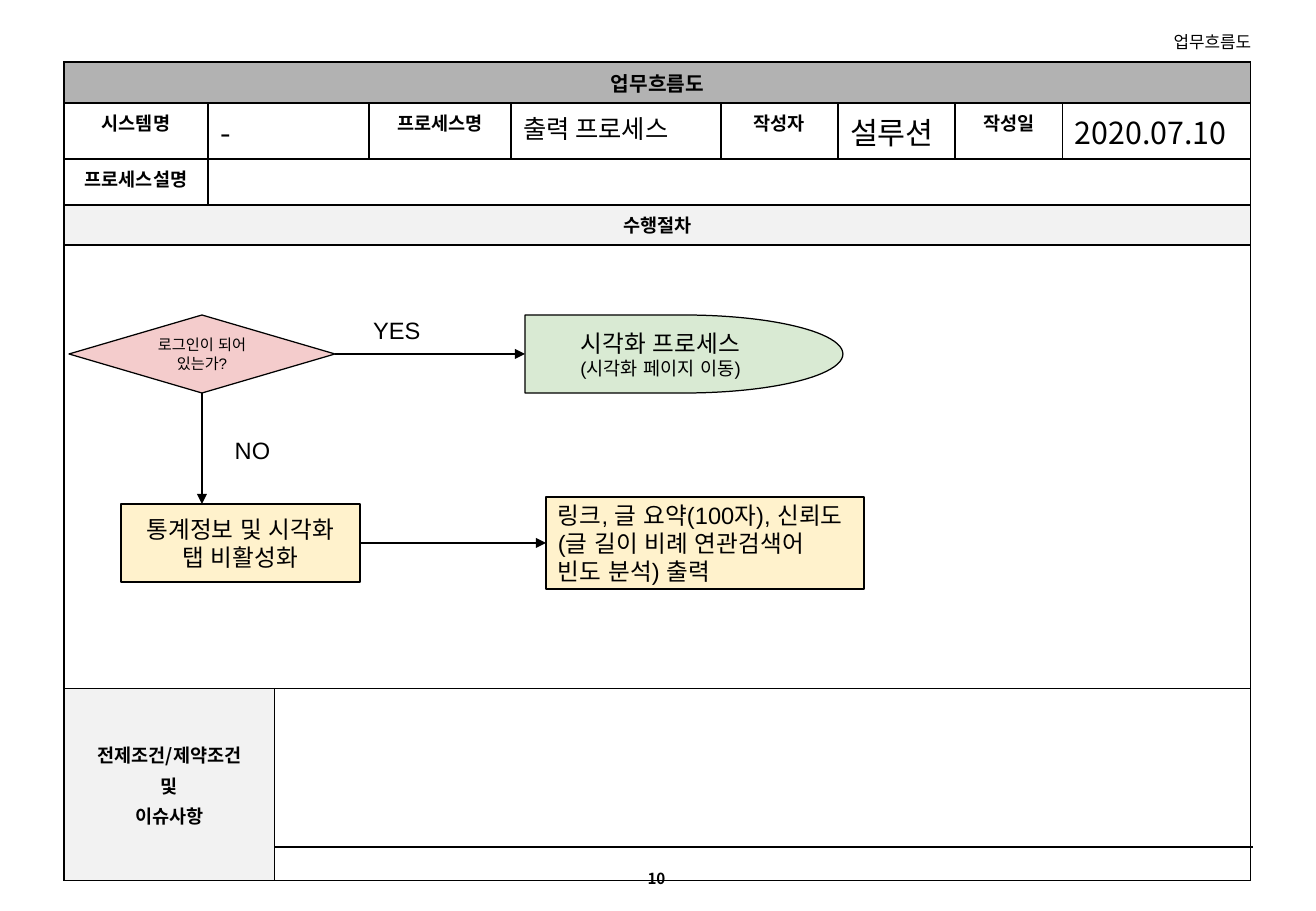
from dataclasses import dataclass
from itertools import accumulate
from lxml.etree import SubElement as Sub
from pptx import Presentation
from pptx.dml.color import RGBColor as Rgb
from pptx.enum.shapes import MSO_CONNECTOR as Link, MSO_SHAPE as Kind
from pptx.enum.text import MSO_ANCHOR as Anchor, PP_ALIGN as Align
from pptx.oxml.ns import qn
from pptx.util import Pt


@dataclass(frozen=True)
class Theme:
    ink: str = "000000"
    bar: str = "B2B2B2"
    pale: str = "F2F2F2"
    rose: str = "F4CCCC"
    mint: str = "D9EAD3"
    cream: str = "FFF2CC"
    sans: str = "Arial"
    hangul: str = "Noto Sans CJK KR"
    note: float = 9
    head: float = 10
    label: float = 11
    title: float = 12
    body: float = 14
    name: float = 15
    value: float = 18
    thin: float = 0.75
    rule: float = 1


T = Theme()
SCALE = 7526
SIZE = (1316, 911)
HEAD = ("업무흐름도", (864, 32, 387, 21))
PAGE = ("10", (623, 863, 67, 30))
BASE = ((66, 847), (1253, 847))

GRID = (64, 62)
COLS = [144, 67, 94, 142, 210, 117, 117, 108, 188]
ROWS = [41, 56, 46, 40, 444, 192]
CELLS = [
    [(9, ["업무흐름도"], T.title, True, T.bar)],
    [(1, ["시스템명"], T.label, True, None),
     (2, ["-"], T.value, False, None),
     (1, ["프로세스명"], T.label, True, None),
     (1, ["출력 프로세스"], T.name, False, None),
     (1, ["작성자"], T.label, True, None),
     (1, ["설루션"], T.value, False, None),
     (1, ["작성일"], T.label, True, None),
     (1, ["2020.07.10"], T.value, False, None)],
    [(1, ["프로세스설명"], T.label, True, None), (8, [], T.label, False, None)],
    [(9, ["수행절차"], T.label, True, T.pale)],
    [(9, [], T.label, False, None)],
    [(2, ["전제조건/제약조건", "및", "이슈사항"], T.label, True, T.pale),
     (7, [], T.label, False, None)],
]

NODES = {
    "check": (Kind.FLOWCHART_DECISION, (69, 315, 266, 78), T.rose, Align.CENTER,
              [("로그인이 되어 있는가?", T.note)]),
    "view": (Kind.FLOWCHART_DELAY, (525, 315, 318, 78), T.mint, Align.CENTER,
             [("시각화 프로세스", T.body), ("(시각화 페이지 이동)", T.label)]),
    "lock": (Kind.RECTANGLE, (121, 504, 239, 78), T.cream, Align.CENTER,
             [("통계정보 및 시각화 탭 비활성화", T.body)]),
    "print": (Kind.FLOWCHART_PROCESS, (546, 497, 318, 92), T.cream, Align.LEFT,
              [("링크, 글 요약(100자), 신뢰도(글 길이 비례 연관검색어 빈도 분석) 출력",
                T.body)]),
}
ARROWS = [
    ((335, 354), (525, 354), ("check", 3), ("view", 1)),
    ((202, 393), (202, 504), ("check", 2), None),
    ((360, 543), (546, 543), ("lock", 3), ("print", 1)),
]
TAGS = [("YES", (361, 304, 118, 50), Align.LEFT),
        ("NO", (209, 424, 87, 50), Align.CENTER)]


def px(*vals):
    return [v * SCALE for v in vals]


def write(frame, lines, face, align, bold=False, gap=0):
    for i, (text, size) in enumerate(lines):
        par = frame.paragraphs[0] if i == 0 else frame.add_paragraph()
        par.text = text
        par.alignment = align
        par.space_before = Pt(gap if i else 0)
        font = par.font
        font.name, font.size, font.bold = face, Pt(size), bold
        font.color.rgb = Rgb.from_string(T.ink)
        for run in par.runs:
            ea = Sub(run._r.get_or_add_rPr(), qn("a:ea"))
            ea.set("typeface", face)


def inset(frame, side, top):
    frame.word_wrap = True
    frame.margin_left, frame.margin_right = px(side, side)
    frame.margin_top, frame.margin_bottom = px(top, top)


def label(slide, text, box, size, face, align, pad, bold=False):
    frame = slide.shapes.add_textbox(*px(*box)).text_frame
    inset(frame, *pad)
    write(frame, [(text, size)], face, align, bold)


def join(slide, start, end, arrow=False):
    wire = slide.shapes.add_connector(Link.STRAIGHT, *px(*start, *end))
    wire.line.color.rgb = Rgb.from_string(T.ink)
    wire.line.width = Pt(T.thin)
    props = wire._element.spPr
    if arrow:
        Sub(props.find(qn("a:ln")), qn("a:tailEnd")).set("type", "triangle")
    Sub(props, qn("a:effectLst"))
    return wire


def edge(cell, sides, width):
    props = cell._tc.get_or_add_tcPr()
    for side in sides:
        line = Sub(props, qn("a:ln" + side))
        line.set("w", str(int(Pt(width))))
        fill = Sub(line, qn("a:solidFill"))
        Sub(fill, qn("a:srgbClr")).set("val", T.ink)


def paint(cell, color):
    if color:
        cell.fill.solid()
        cell.fill.fore_color.rgb = Rgb.from_string(color)
    else:
        cell.fill.background()


def form(slide):
    table = slide.shapes.add_table(
        len(ROWS), len(COLS), *px(*GRID, sum(COLS), sum(ROWS))).table
    table.first_row = table.horz_banding = False
    for col, width in zip(table.columns, px(*COLS)):
        col.width = width
    for row, height in zip(table.rows, px(*ROWS)):
        row.height = height
    for r, cells in enumerate(CELLS):
        starts = accumulate((c[0] for c in cells), initial=0)
        for c, (span, lines, size, bold, color) in zip(starts, cells):
            cell = table.cell(r, c)
            if span > 1:
                cell.merge(table.cell(r, c + span - 1))
            width = T.rule if 0 < r < 4 else T.thin
            for k in range(span):
                sides = "LRTB" if k == 0 else "RTB" if k == span - 1 else "TB"
                edge(table.cell(r, c + k), sides, width)
                paint(table.cell(r, c + k), color)
            if not lines:
                cell.margin_top = cell.margin_bottom = 0
            if len(lines) > 1:
                cell.vertical_anchor = Anchor.MIDDLE
            align = Align.CENTER if bold else Align.LEFT
            write(cell.text_frame, [(t, size) for t in lines], T.hangul,
                  align, bold, 2.2)


def flow(slide):
    made = {}
    for name, (kind, box, color, align, lines) in NODES.items():
        node = made[name] = slide.shapes.add_shape(kind, *px(*box))
        node.shadow.inherit = False
        node.fill.solid()
        node.fill.fore_color.rgb = Rgb.from_string(color)
        node.line.color.rgb = Rgb.from_string(T.ink)
        node.line.width = Pt(T.thin)
        inset(node.text_frame, 12, 12)
        node.text_frame.vertical_anchor = Anchor.MIDDLE
        write(node.text_frame, lines, T.sans, align)
    for start, end, head, tail in ARROWS:
        wire = join(slide, start, end, True)
        wire.begin_connect(made[head[0]], head[1])
        if tail:
            wire.end_connect(made[tail[0]], tail[1])
    for text, box, align in TAGS:
        label(slide, text, box, T.body, T.sans, align, (12, 12))


def main():
    deck = Presentation()
    deck.slide_width, deck.slide_height = px(*SIZE)
    slide = deck.slides.add_slide(deck.slide_layouts[5])
    title = slide.shapes.title
    title.left, title.top, title.width, title.height = px(*HEAD[1])
    inset(title.text_frame, 0, 0)
    title.text_frame.vertical_anchor = Anchor.TOP
    write(title.text_frame, [(HEAD[0], T.head)], T.hangul, Align.RIGHT)
    join(slide, *BASE)
    label(slide, *PAGE, T.note, T.hangul, Align.CENTER, (12, 6), True)
    form(slide)
    flow(slide)
    deck.save("out.pptx")


if __name__ == "__main__":
    main()
